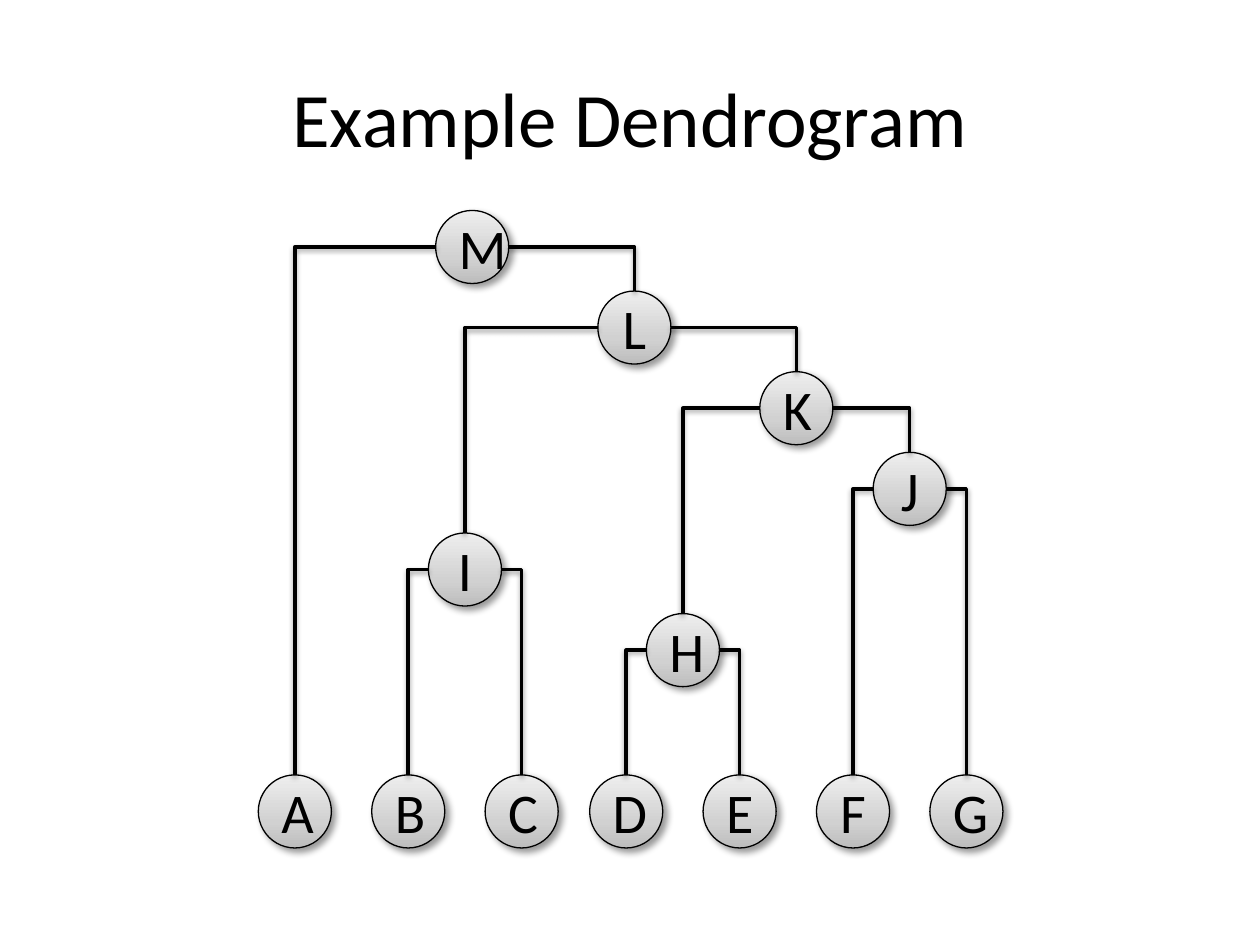
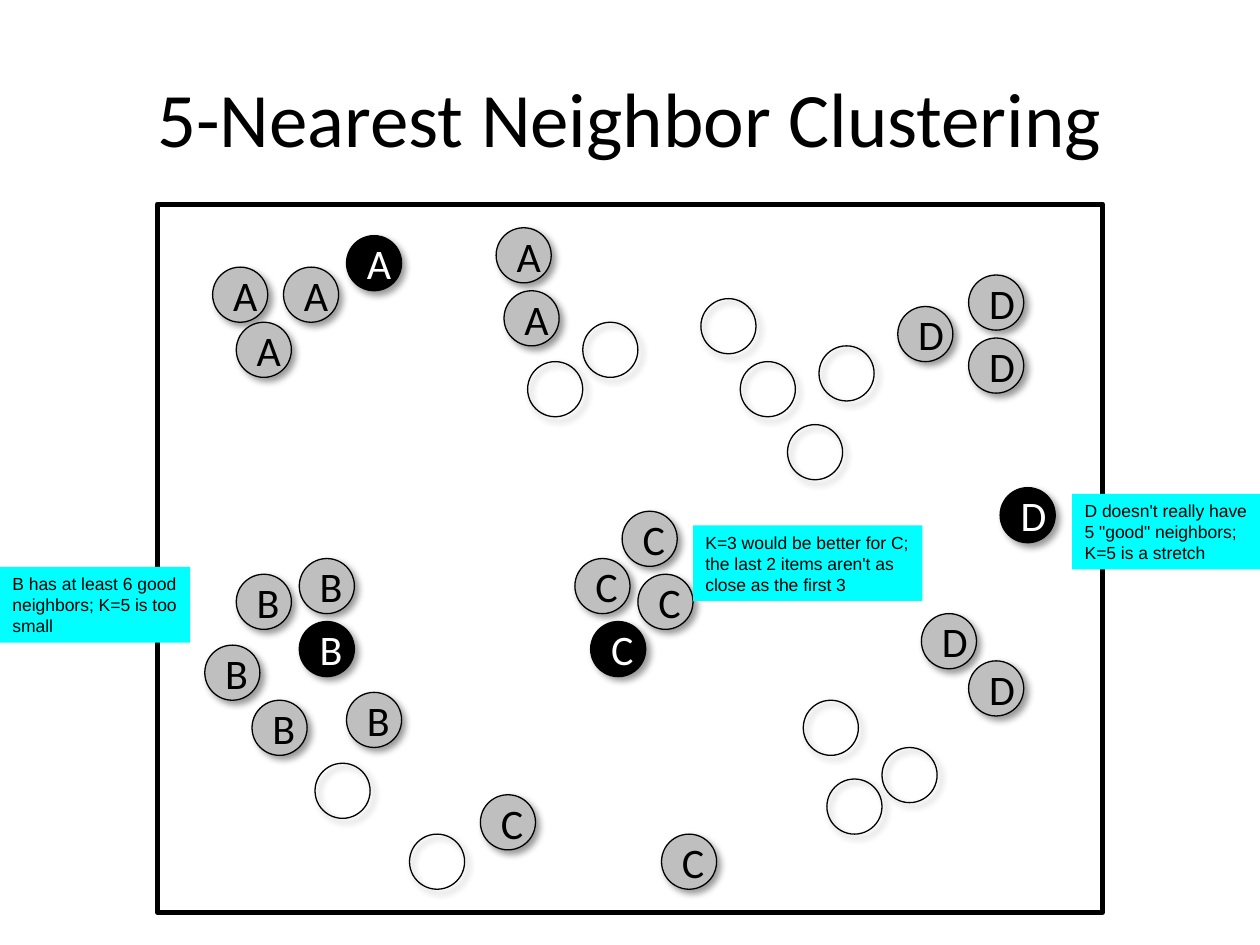
from lxml import etree
from pptx import Presentation
from pptx.dml.color import RGBColor
from pptx.enum.shapes import MSO_CONNECTOR as Connector, MSO_SHAPE as Shape
from pptx.enum.text import MSO_ANCHOR as Anchor, MSO_AUTO_SIZE as AutoSize, PP_ALIGN as Align
from pptx.oxml.ns import qn
from pptx.util import Inches, Pt

BLACK, WHITE, GRAY, CYAN = "000000", "FFFFFF", "BFBFBF", "00FFFF"
NODE_GRADIENT = [(0, "BDBDBD"), (35, "D1D1D1"), (100, "EEEEEE")]
# Shadows: opacity %, blur pt, distance pt, direction in degrees
DISC_SHADOW = (40, 4, 3, 45)
BRANCH_SHADOW = (38, 3.1, 1.6, 90)

# Dendrogram: cluster, left child, right child, row, sideways nudge
LEAVES = "ABCDEFG"
LEAF_ROW = 7
MERGES = [
    ("H", "D", "E", 5, 0),
    ("I", "B", "C", 4, 0),
    ("J", "F", "G", 3, 0),
    ("K", "H", "J", 2, 0),
    ("L", "I", "K", 1, 0.03),
    ("M", "A", "L", 0, 0.06),
]

# Scatter: positions in sixteenths of an inch from the frame's corner
SEEDS = {"A": (24, 4), "B": (18, 53), "C": (55, 53), "D": (107, 36)}
NEIGHBORS = {
    "A": [(7, 8), (16, 8), (10, 15), (43, 3), (44, 11)],
    "B": [(18, 45), (10, 47), (6, 56), (12, 63), (24, 62)],
    "C": [(61, 47), (53, 45), (59, 39), (41, 75), (64, 80)],
    "D": [(94, 13), (103, 9), (103, 17), (97, 52), (103, 58)],
}
UNASSIGNED = [(85, 73), (69, 12), (92, 69), (80, 28), (32, 80), (82, 63),
              (74, 20), (20, 71), (47, 20), (84, 18), (54, 15)]
REMARKS = [
    ((8.51, 3.92, 1.49, 0.6),
     ["D doesn't really have", '5 "good" neighbors;', "K=5 is a stretch"]),
    ((0, 4.5, 1.51, 0.6),
     ["B has at least 6 good", "neighbors; K=5 is too", "small"]),
    ((5.5, 4.17, 1.82, 0.6),
     ["K=3 would be better for C;", "the last 2 items aren't as", "close as the first 3"]),
]


def rgb(hex_color):
    return RGBColor.from_string(hex_color)


def set_font(paragraph, size, color, name="Calibri"):
    paragraph.font.size = Pt(size)
    paragraph.font.name = name
    paragraph.font.color.rgb = rgb(color)


def set_line(item, width):
    item.line.color.rgb = rgb(BLACK)
    item.line.width = Pt(width)


def add_color(parent, hex_color):
    return etree.SubElement(parent, qn("a:srgbClr"), val=hex_color)


def add_shadow(item, opacity, blur, distance, direction):
    """Call after the line is set, so that the effects follow it."""
    effects = etree.SubElement(item._element.spPr, qn("a:effectLst"))
    shadow = etree.SubElement(
        effects, qn("a:outerShdw"), blurRad=str(Pt(blur)), dist=str(Pt(distance)),
        dir=str(direction * 60000), rotWithShape="0")
    etree.SubElement(add_color(shadow, BLACK), qn("a:alpha"), val=str(opacity * 1000))


def fill_gradient(fill, element):
    fill.gradient()
    fill.gradient_angle = 90
    stops = element.spPr.find(qn("a:gradFill")).find(qn("a:gsLst"))
    for stop in list(stops):
        stops.remove(stop)
    for position, color in NODE_GRADIENT:
        add_color(etree.SubElement(stops, qn("a:gs"), pos=str(position * 1000)), color)


def add_disc(slide, left, top, size, label="", font_size=24, fill=None, color=BLACK):
    disc = slide.shapes.add_shape(
        Shape.OVAL, Inches(left), Inches(top), Inches(size), Inches(size))
    if fill == "gradient":
        fill_gradient(disc.fill, disc._element)
    elif fill:
        disc.fill.solid()
        disc.fill.fore_color.rgb = rgb(fill)
    else:
        disc.fill.background()
    set_line(disc, 0.75)
    add_shadow(disc, *DISC_SHADOW)
    if label:
        disc.text_frame.vertical_anchor = Anchor.MIDDLE
        paragraph = disc.text_frame.paragraphs[0]
        paragraph.text = label
        paragraph.alignment = Align.CENTER
        set_font(paragraph, font_size, color)
    return disc


def add_titled_slide(deck, title):
    slide = deck.slides.add_slide(deck.slide_layouts[5])
    heading = slide.shapes.title
    heading.left, heading.top = Inches(0.5), Inches(0.3)
    heading.width, heading.height = Inches(9), Inches(1.25)
    heading.text_frame.text = title
    heading.text_frame.vertical_anchor = Anchor.MIDDLE
    paragraph = heading.text_frame.paragraphs[0]
    paragraph.alignment = Align.CENTER
    set_font(paragraph, 44, BLACK)
    return slide


def add_branch(slide, parent, child, on_left):
    """Elbow from the side of a parent circle to the top of its child."""
    start_x = parent.left if on_left else parent.left + parent.width
    branch = slide.shapes.add_connector(
        Connector.ELBOW, start_x, parent.top + parent.height // 2,
        child.left + child.width // 2, child.top)
    branch._element.spPr.find(qn("a:prstGeom")).set("prst", "bentConnector2")
    # An oval has eight connection sites: 2 is left, 6 is right
    joints = next(branch._element.iter(qn("p:cNvCxnSpPr")))
    etree.SubElement(joints, qn("a:stCxn"), id=str(parent.shape_id),
                     idx="2" if on_left else "6")
    branch.end_connect(child, 0)
    set_line(branch, 2)
    add_shadow(branch, *BRANCH_SHADOW)


def draw_dendrogram(slide, left, top):
    size, leaf_pitch, row_pitch, half_gap = 0.58, 0.9, 0.64, 0.07
    columns, nodes = {}, {}

    def add_node(name, column, row):
        columns[name] = column
        nodes[name] = add_disc(slide, left + column, top + row * row_pitch, size,
                               name, 32, "gradient")

    # Leaves: the second group sits slightly closer
    for index, name in enumerate(LEAVES):
        add_node(name, index * leaf_pitch - (half_gap if index > 2 else 0), LEAF_ROW)

    # Each merge is centred over its two children
    for name, first, second, row, nudge in MERGES:
        add_node(name, (columns[first] + columns[second]) / 2 + nudge, row)
        add_branch(slide, nodes[name], nodes[first], True)
        add_branch(slide, nodes[name], nodes[second], False)


def draw_scatter(slide, left, top, width, height):
    unit = 1 / 16
    size = 7 * unit

    def add_point(position, *style):
        x, y = position
        add_disc(slide, left + x * unit, top + y * unit, size, *style)

    for position in UNASSIGNED:
        add_point(position)
    for label, positions in NEIGHBORS.items():
        for position in positions:
            add_point(position, label, 24, GRAY)
        add_point(SEEDS[label], label, 24, BLACK, WHITE)

    # Frame
    frame = slide.shapes.add_shape(
        Shape.RECTANGLE, Inches(left), Inches(top), Inches(width), Inches(height))
    frame.fill.background()
    set_line(frame, 3)
    frame.shadow.inherit = False


def add_remark(slide, box, lines):
    remark = slide.shapes.add_textbox(*map(Inches, box))
    remark.fill.solid()
    remark.fill.fore_color.rgb = rgb(CYAN)
    frame = remark.text_frame
    frame.word_wrap = False
    frame.auto_size = AutoSize.SHAPE_TO_FIT_TEXT
    frame.text = "\n".join(lines)
    for paragraph in frame.paragraphs:
        set_font(paragraph, 10, BLACK, "Arial")


def main():
    deck = Presentation()
    deck.slide_width, deck.slide_height = Inches(10), Inches(7.5)

    dendrogram = add_titled_slide(deck, "Example Dendrogram")
    draw_dendrogram(dendrogram, 2.05, 1.67)

    clustering = add_titled_slide(deck, "5-Nearest Neighbor Clustering")
    draw_scatter(clustering, 1.25, 1.62, 7.5, 5.62)
    for box, lines in REMARKS:
        add_remark(clustering, box, lines)

    deck.save("out.pptx")


if __name__ == "__main__":
    main()
